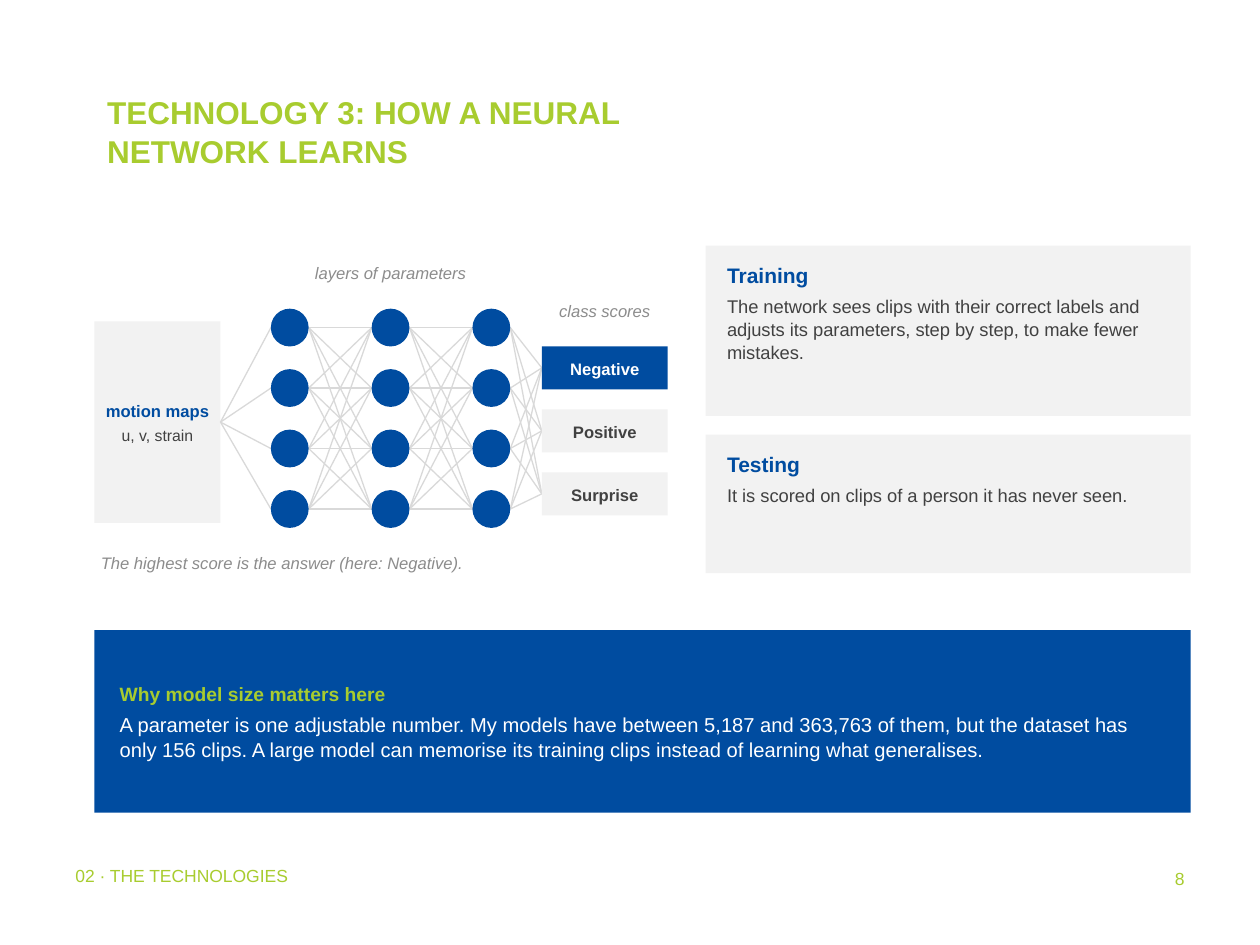
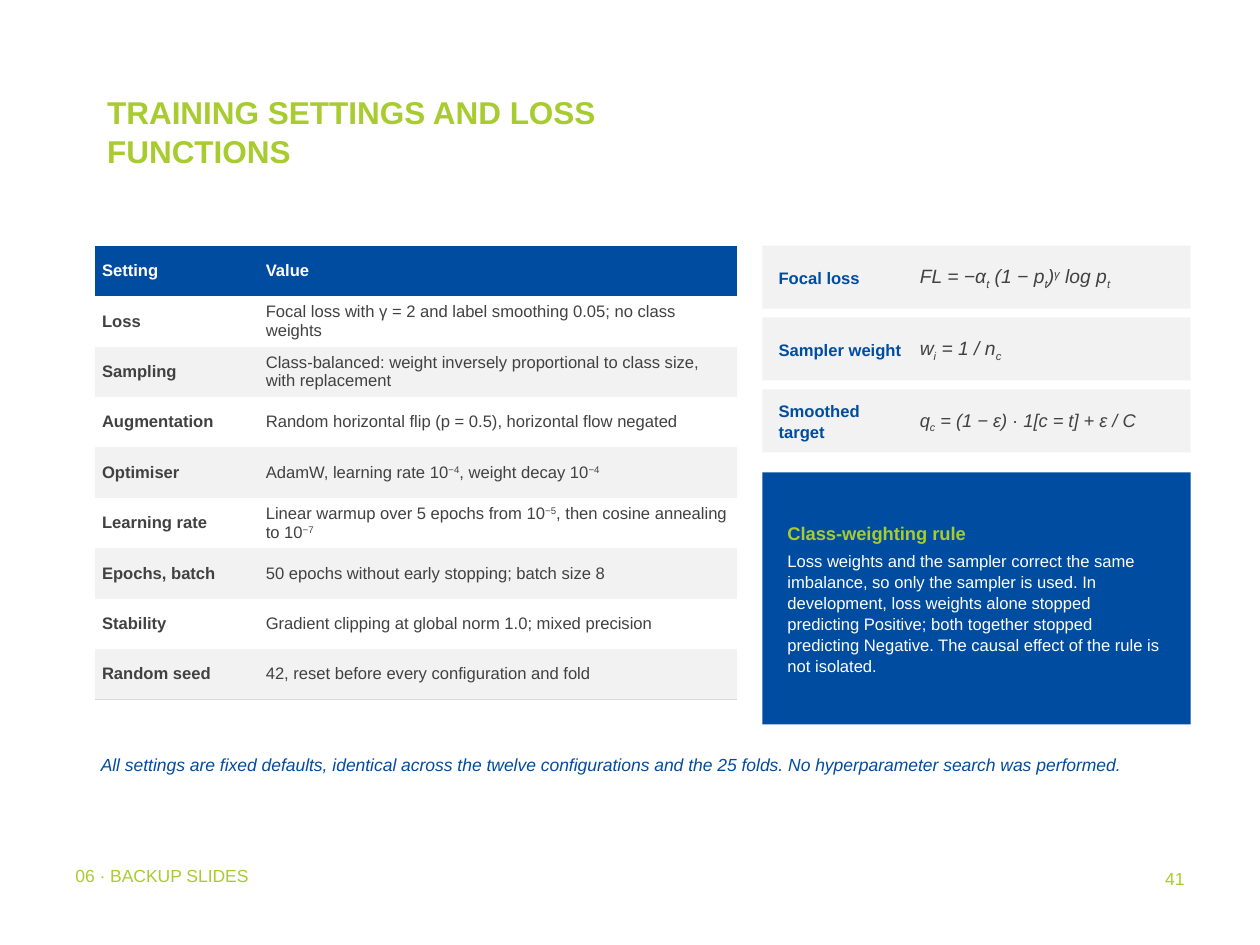
import itertools
from dataclasses import dataclass, field

import pptx
import pptx.dml.color
import pptx.enum.shapes
import pptx.enum.text
import pptx.oxml
import pptx.oxml.ns
import pptx.util
from lxml import etree

Pt = pptx.util.Pt
Shape = pptx.enum.shapes.MSO_SHAPE
Anchor = pptx.enum.text.MSO_ANCHOR
Align = pptx.enum.text.PP_ALIGN
SUP, SUB = 30000, -25000

# ---------- Content ----------
NETWORK = {
    "title": "TECHNOLOGY 3: HOW A NEURAL NETWORK LEARNS",
    "section": "02 · THE TECHNOLOGIES",
    "number": "8",
    "input": [("input_name", "motion maps"), ("input_detail", "u, v, strain")],
    "classes": ["Negative", "Positive", "Surprise"],
    "answer": "Negative",
    "captions": [
        ("layers of parameters", (144, 147.6, 158.4, 21.6), Align.CENTER),
        ("class scores", (302.4, 169.2, 86.4, 25.2), Align.CENTER),
        ("The highest score is the answer (here: Negative).", (54, 313.2, 331.2, 36), Align.LEFT),
    ],
    "phases": [
        ("Training", "The network sees clips with their correct labels and adjusts its "
         "parameters, step by step, to make fewer mistakes.", 97.2),
        ("Testing", "It is scored on clips of a person it has never seen.", 79.2),
    ],
    "callout": [
        ("callout_head", "Why model size matters here"),
        ("callout_body", "A parameter is one adjustable number. My models have between 5,187 and "
         "363,763 of them, but the dataset has only 156 clips. A large model can memorise its "
         "training clips instead of learning what generalises."),
    ],
}

# Text is a string, or a list that mixes strings with (raised or lowered text, baseline)
SETTINGS = {
    "title": "TRAINING SETTINGS AND LOSS FUNCTIONS",
    "section": "06 · BACKUP SLIDES",
    "number": "41",
    "rows": [
        ("Setting", "Value"),
        ("Loss", "Focal loss with γ = 2 and label smoothing 0.05; no class weights"),
        ("Sampling", "Class-balanced: weight inversely proportional to class size, with replacement"),
        ("Augmentation", "Random horizontal flip (p = 0.5), horizontal flow negated"),
        ("Optimiser", ["AdamW, learning rate 10", ("−4", SUP), ", weight decay 10", ("−4", SUP)]),
        ("Learning rate", ["Linear warmup over 5 epochs from 10", ("−5", SUP),
                           ", then cosine annealing to 10", ("−7", SUP)]),
        ("Epochs, batch", "50 epochs without early stopping; batch size 8"),
        ("Stability", "Gradient clipping at global norm 1.0; mixed precision"),
        ("Random seed", "42, reset before every configuration and fold"),
    ],
    "formulas": [
        ("Focal loss", "formula", ["FL = −α", ("t", SUB), " (1 − p", ("t", SUB), ")",
                                   ("γ", SUP), " log p", ("t", SUB)]),
        ("Sampler weight", "formula", ["w", ("i", SUB), " = 1 / n", ("c", SUB)]),
        ("Smoothed target", "long_formula", ["q", ("c", SUB), " = (1 − ε) · 1[c = t] + ε / C"]),
    ],
    "callout": [
        ("small_callout_head", "Class-weighting rule"),
        ("small_callout_body", "Loss weights and the sampler correct the same imbalance, so only the "
         "sampler is used. In development, loss weights alone stopped predicting Positive; both "
         "together stopped predicting Negative. The causal effect of the rule is not isolated."),
    ],
    "note": "All settings are fixed defaults, identical across the twelve configurations and the "
            "25 folds. No hyperparameter search was performed.",
}


# ---------- Theme ----------
def style(size, color, after=0, bold=False, italic=False):
    return {"color": color, "after": after,
            "font": {"name": "Arial", "size": Pt(size), "bold": bold, "italic": italic}}


@dataclass(frozen=True)
class Theme:
    green: str = "A8CC2F"
    blue: str = "004CA0"
    pale: str = "F2F2F2"
    rule: str = "D9D9D9"
    ink: str = "414141"
    gray: str = "8C8C8C"
    white: str = "FFFFFF"
    spacing: float = 1.05
    left: float = 54
    top: float = 140.4
    right: float = 680.4
    styles: dict = field(default_factory=dict)


THEME = Theme()
THEME.styles.update({
    "title": style(18, THEME.green, bold=True),
    "footer": style(10, THEME.green),
    "input_name": style(9.5, THEME.blue, 2, bold=True),
    "input_detail": style(9, THEME.ink),
    "class": style(9.5, THEME.ink, bold=True),
    "answer": style(9.5, THEME.white, bold=True),
    "caption": style(9.5, THEME.gray, 3, italic=True),
    "phase_head": style(12, THEME.blue, 4, bold=True),
    "phase_body": style(10.5, THEME.ink, 3),
    "callout_head": style(11, THEME.green, 3, bold=True),
    "callout_body": style(11.5, THEME.white, 3),
    "small_callout_head": style(10.5, THEME.green, 3, bold=True),
    "small_callout_body": style(9.5, THEME.white, 3),
    "header": style(9.5, THEME.white, bold=True),
    "setting": style(9.5, THEME.ink, bold=True),
    "value": style(9.5, THEME.ink),
    "formula_name": style(9.5, THEME.blue, bold=True),
    "formula": style(11, THEME.ink, italic=True),
    "long_formula": style(10.5, THEME.ink, italic=True),
    "note": style(10, THEME.blue, 3, italic=True),
})
PLAIN_INSETS = (3.6, 2.16, 3.6, 2.16)
CALLOUT_INSETS = (14.4, 6.48, 14.4, 6.48)


# ---------- Helpers ----------
def rgb(color):
    return pptx.dml.color.RGBColor.from_string(color)


def assign(target, values):
    for name, value in values.items():
        setattr(target, name, value)


def paint(shape, color):
    shape.fill.solid()
    shape.fill.fore_color.rgb = rgb(color)


def write(frame, paras, align=Align.LEFT, spacing=THEME.spacing):
    for index, (style_name, text) in enumerate(paras):
        look = THEME.styles[style_name]
        para = frame.add_paragraph() if index else frame.paragraphs[0]
        assign(para, {"alignment": align, "line_spacing": spacing, "space_after": Pt(look["after"])})
        for part in [text] if isinstance(text, str) else text:
            words, baseline = (part, 0) if isinstance(part, str) else part
            span = para.add_run()
            span.text = words
            assign(span.font, look["font"])
            span.font.color.rgb = rgb(look["color"])
            if baseline:
                span._r.get_or_add_rPr().set("baseline", str(baseline))


def set_frame(frame, insets, anchor):
    margins = ("margin_left", "margin_top", "margin_right", "margin_bottom")
    assign(frame, {name: Pt(inset) for name, inset in zip(margins, insets)})
    assign(frame, {"word_wrap": True, "vertical_anchor": anchor,
                   "auto_size": pptx.enum.text.MSO_AUTO_SIZE.NONE})


def add_block(page, box, fill, kind=Shape.RECTANGLE):
    block = page.shapes.add_shape(kind, *map(Pt, box))
    block.shadow.inherit = False
    block.line.fill.background()
    paint(block, fill)
    return block


def add_text(page, box, paras, fill=None, insets=PLAIN_INSETS, anchor=Anchor.TOP, align=Align.LEFT):
    holder = add_block(page, box, fill) if fill else page.shapes.add_textbox(*map(Pt, box))
    set_frame(holder.text_frame, insets, anchor)
    write(holder.text_frame, paras, align)


def add_link(page, start, end):
    link = page.shapes.add_connector(pptx.enum.shapes.MSO_CONNECTOR.STRAIGHT, *map(Pt, start + end))
    link.line.color.rgb = rgb(THEME.rule)
    link.line.width = Pt(0.75)
    etree.SubElement(link._element.spPr, pptx.oxml.ns.qn("a:effectLst"))


def add_page(deck, content):
    page = deck.slides.add_slide(deck.slide_layouts[5])
    title = page.shapes.title
    assign(title, {"left": Pt(THEME.left), "top": Pt(48.24), "width": Pt(390.24), "height": Pt(90)})
    set_frame(title.text_frame, (7.2, 3.6, 7.2, 3.6), Anchor.TOP)
    write(title.text_frame, [("title", content["title"])])
    add_text(page, (36, 491.76, 408.24, 28.8), [("footer", content["section"])],
             insets=(7.2, 2.16, 7.2, 2.16))
    add_text(page, (534.24, 491.76, 149.76, 36), [("footer", content["number"])],
             insets=(7.2, 3.6, 7.2, 3.6), align=Align.RIGHT)
    return page


# ---------- Network slide ----------
def draw_network(page):
    node, layer_count, node_count = 21.6, 3, 4
    input_box = (THEME.left, 183.6, 72, 115.2)
    layer_lefts = [154.8 + 57.6 * index for index in range(layer_count)]
    node_tops = [176.4 + 34.56 * index for index in range(node_count)]
    class_boxes = [(309.6, 198 + 36 * index, 72, 24.48) for index in range(len(NETWORK["classes"]))]

    # Each stage is a list of boxes; every box links to every box of the next stage
    layers = [[(left, top, node, node) for top in node_tops] for left in layer_lefts]
    add_text(page, input_box, NETWORK["input"], THEME.pale, (2.16,) * 4, Anchor.MIDDLE, Align.CENTER)
    for sources, targets in itertools.pairwise([[input_box], *layers, class_boxes]):
        for source, target in itertools.product(sources, targets):
            add_link(page, (source[0] + source[2], source[1] + source[3] / 2),
                     (target[0], target[1] + target[3] / 2))
    for box in itertools.chain.from_iterable(layers):
        add_block(page, box, THEME.blue, Shape.OVAL)
    for name, box in zip(NETWORK["classes"], class_boxes):
        chosen = name == NETWORK["answer"]
        add_text(page, box, [("answer" if chosen else "class", name)],
                 THEME.blue if chosen else THEME.pale, (1.44, 2.16, 1.44, 2.16),
                 Anchor.MIDDLE, Align.CENTER)
    for text, box, align in NETWORK["captions"]:
        add_text(page, box, [("caption", text)], align=align)


def build_network_page(deck):
    page = add_page(deck, NETWORK)
    draw_network(page)
    top, left = THEME.top, 403.2
    for head, body, height in NETWORK["phases"]:
        add_text(page, (left, top, THEME.right - left, height),
                 [("phase_head", head), ("phase_body", body)], THEME.pale, (12.24, 8.64, 12.24, 8.64))
        top += height + 10.8
    add_text(page, (THEME.left, 360, THEME.right - THEME.left, 104.4), NETWORK["callout"],
             THEME.blue, CALLOUT_INSETS, Anchor.MIDDLE)


# ---------- Settings slide ----------
def add_settings_table(page):
    rows, widths, row_height = SETTINGS["rows"], (93.6, 273.6), 28.8
    table = page.shapes.add_table(len(rows), len(widths), Pt(THEME.left), Pt(THEME.top),
                                  Pt(sum(widths)), Pt(row_height * len(rows))).table
    assign(table, {"first_row": False, "horz_banding": False})
    style_id = table._tbl.tblPr.find(pptx.oxml.ns.qn("a:tableStyleId"))
    style_id.text = "{2D5ABB26-0587-4C30-8999-92F81FD0307C}"
    for column, width in zip(table.columns, widths):
        column.width = Pt(width)
    for index, texts in enumerate(rows):
        table.rows[index].height = Pt(row_height)
        fill = THEME.blue if index == 0 else THEME.white if index % 2 else THEME.pale
        names = ("header", "header") if index == 0 else ("setting", "value")
        for cell, name, text in zip(table.rows[index].cells, names, texts):
            assign(cell, {"margin_left": Pt(4.32), "margin_right": Pt(4.32), "margin_top": Pt(1.44),
                          "margin_bottom": Pt(1.44), "vertical_anchor": Anchor.MIDDLE})
            if index == len(rows) - 1:
                cell._tc.get_or_add_tcPr().append(pptx.oxml.parse_xml(
                    f'<a:lnB {pptx.oxml.ns.nsdecls("a")} w="{Pt(0.75)}"><a:solidFill>'
                    f'<a:srgbClr val="{THEME.rule}"/></a:solidFill></a:lnB>'))
            paint(cell, fill)
            write(cell.text_frame, [(name, text)], spacing=1.0)


def build_settings_page(deck):
    page = add_page(deck, SETTINGS)
    add_settings_table(page)
    left, height = 435.6, 36
    width = THEME.right - left
    for index, (name, formula_style, formula) in enumerate(SETTINGS["formulas"]):
        top = THEME.top + 41.04 * index
        add_text(page, (left, top, width, height), [("formula_name", name)], THEME.pale,
                 (9.36, 2.16, 163.44, 2.16), Anchor.MIDDLE)
        add_text(page, (522, top, 152.64, height), [(formula_style, formula)], anchor=Anchor.MIDDLE)
    add_text(page, (left, 270, width, 144), SETTINGS["callout"], THEME.blue, CALLOUT_INSETS,
             Anchor.MIDDLE)
    add_text(page, (THEME.left, 428.4, THEME.right - THEME.left, height), [("note", SETTINGS["note"])])


def main():
    deck = pptx.Presentation()
    assign(deck, {"slide_width": Pt(720), "slide_height": Pt(540)})
    build_network_page(deck)
    build_settings_page(deck)
    deck.save("out.pptx")


if __name__ == "__main__":
    main()
